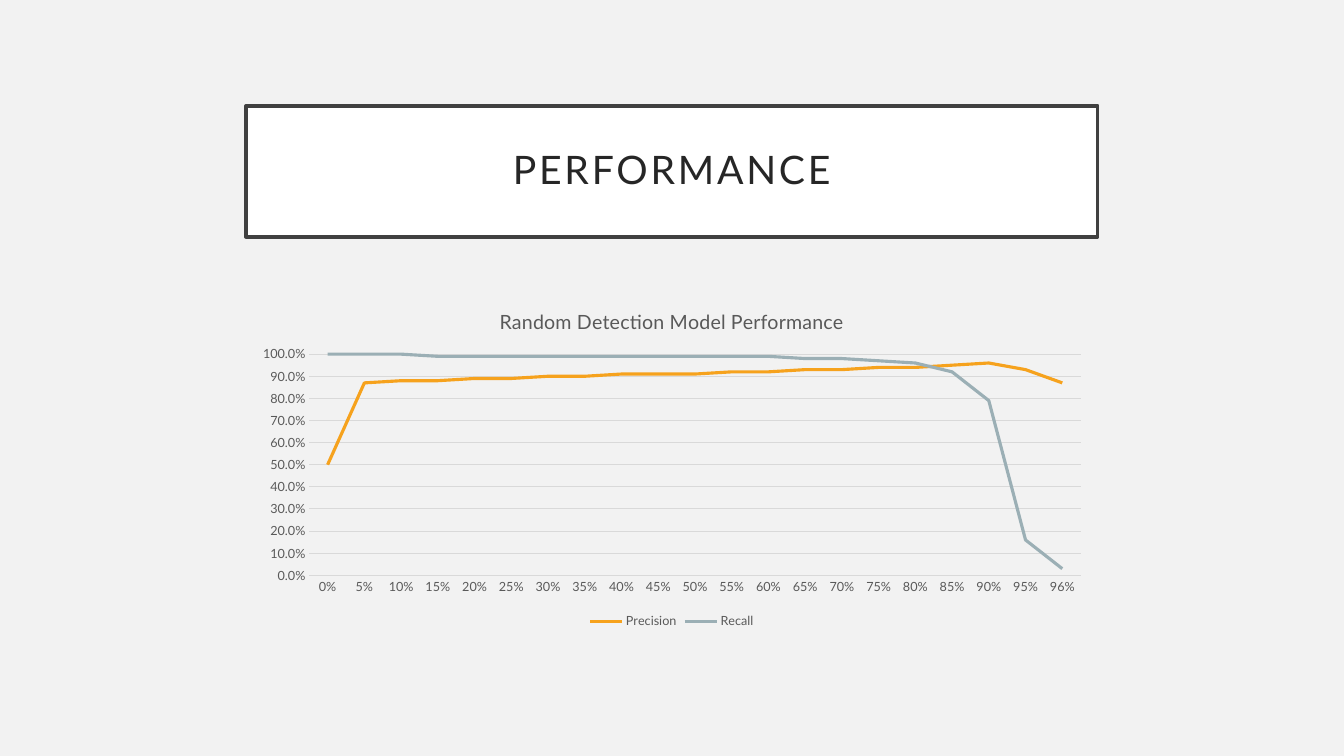
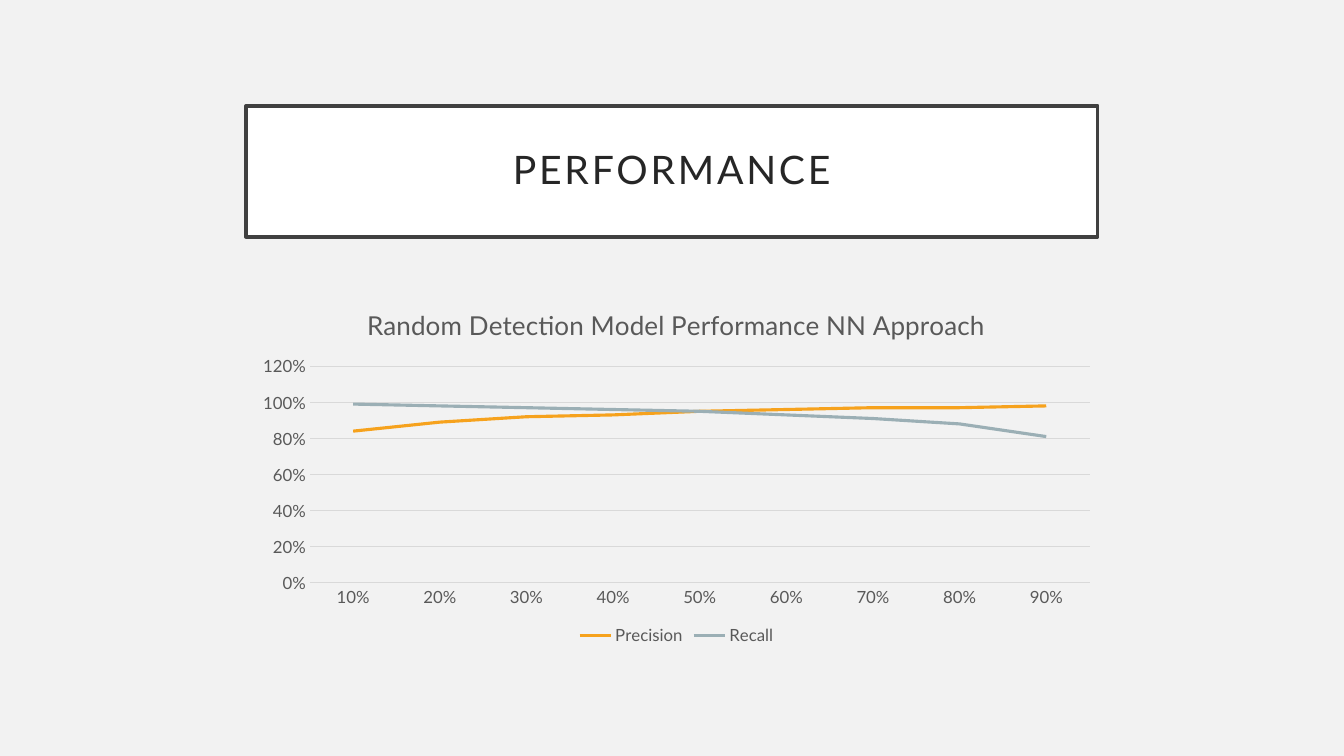
from dataclasses import dataclass
from pptx import Presentation
from pptx.chart.data import CategoryChartData
from pptx.dml.color import RGBColor
from pptx.enum.chart import XL_CHART_TYPE, XL_LEGEND_POSITION, XL_MARKER_STYLE, XL_TICK_MARK
from pptx.enum.text import MSO_ANCHOR, PP_ALIGN
from pptx.util import Pt

LINE_CHART = XL_CHART_TYPE.LINE
LEGEND_BOTTOM = XL_LEGEND_POSITION.BOTTOM
NO_MARKER = XL_MARKER_STYLE.NONE
NO_TICK = XL_TICK_MARK.NONE
MIDDLE = MSO_ANCHOR.MIDDLE
CENTER = PP_ALIGN.CENTER
TITLE_ONLY = 5


# Theme
@dataclass(frozen=True)
class Theme:
    font: str = "Lato"
    background: RGBColor = RGBColor(0xF2, 0xF2, 0xF2)
    banner: RGBColor = RGBColor(0xFF, 0xFF, 0xFF)
    frame: RGBColor = RGBColor(0x40, 0x40, 0x40)
    heading: RGBColor = RGBColor(0x26, 0x26, 0x26)
    label: RGBColor = RGBColor(0x59, 0x59, 0x59)
    grid: RGBColor = RGBColor(0xD9, 0xD9, 0xD9)
    series: tuple = (RGBColor(0xF6, 0xA2, 0x1D), RGBColor(0x9B, 0xAF, 0xB5))
    heading_size: float = 28
    frame_width: float = 2.5
    grid_width: float = 0.75
    series_width: float = 2.25


THEME = Theme()

# Content
HEADING = "PERFORMANCE"
LEFT = 175.68
BANNER_BOX = (LEFT, 75.6, 608.4, 93.6)
BANNER_INSET = 14.4

CHARTS = [
    {
        "title": "Random Detection Model Performance",
        "box": (LEFT, 208.08, 608.4, 244.08),
        "title_size": 14, "label_size": 9,
        "maximum": 1, "step": 0.1, "format": "0.0%",
        "thresholds": [n / 100 for n in range(0, 100, 5)] + [0.96],
        "series": {
            "Precision": [0.5, 0.87, 0.88, 0.88, 0.89, 0.89, 0.9, 0.9, 0.91, 0.91, 0.91,
                          0.92, 0.92, 0.93, 0.93, 0.94, 0.94, 0.95, 0.96, 0.93, 0.87],
            "Recall": [1, 1, 1, 0.99, 0.99, 0.99, 0.99, 0.99, 0.99, 0.99, 0.99,
                       0.99, 0.99, 0.98, 0.98, 0.97, 0.96, 0.92, 0.79, 0.16, 0.03],
        },
    },
    {
        "title": "Random Detection Model Performance NN Approach",
        "box": (LEFT, 206.64, 614.88, 257.04),
        "title_size": 18.6, "label_size": 12,
        "maximum": 1.2, "step": 0.2, "format": "0%",
        "thresholds": [n / 10 for n in range(1, 10)],
        "series": {
            "Precision": [0.84, 0.89, 0.92, 0.93, 0.95, 0.96, 0.97, 0.97, 0.98],
            "Recall": [0.99, 0.98, 0.97, 0.96, 0.95, 0.93, 0.91, 0.88, 0.81],
        },
    },
]


# Shared formatting
def points(box):
    return [Pt(length) for length in box]


def style_font(font, size, color):
    font.name = THEME.font
    font.size = Pt(size)
    font.bold = False
    font.color.rgb = color


def style_line(line, color, width):
    line.color.rgb = color
    line.width = Pt(width)


def add_banner(slide):
    banner = slide.shapes.title
    banner.left, banner.top, banner.width, banner.height = points(BANNER_BOX)
    banner.fill.solid()
    banner.fill.fore_color.rgb = THEME.banner
    style_line(banner.line, THEME.frame, THEME.frame_width)
    frame = banner.text_frame
    frame.text = HEADING
    frame.vertical_anchor = MIDDLE
    frame.margin_left = frame.margin_right = Pt(BANNER_INSET)
    frame.margin_top = frame.margin_bottom = Pt(BANNER_INSET)
    heading = frame.paragraphs[0]
    heading.alignment = CENTER
    heading.line_spacing = 0.9
    style_font(heading.font, THEME.heading_size, THEME.heading)
    # Letter spacing in hundredths of a point
    heading.runs[0].font._element.set("spc", "200")


def add_performance_chart(slide, content):
    chart_data = CategoryChartData(number_format=content["format"])
    chart_data.categories = content["thresholds"]
    chart_data.categories.number_format = "0%"
    for name, values in content["series"].items():
        chart_data.add_series(name, values)
    chart = slide.shapes.add_chart(LINE_CHART, *points(content["box"]), chart_data).chart
    label_size = content["label_size"]
    style_font(chart.font, label_size, THEME.label)

    # Chart title and legend
    chart.has_title = True
    title_frame = chart.chart_title.text_frame
    title_frame.text = content["title"]
    style_font(title_frame.paragraphs[0].font, content["title_size"], THEME.label)
    chart.chart_title.include_in_layout = False
    chart.has_legend = True
    chart.legend.position = LEGEND_BOTTOM
    chart.legend.include_in_layout = False
    style_font(chart.legend.font, label_size, THEME.label)

    # Axes
    thresholds, scores = chart.category_axis, chart.value_axis
    for axis, number_format in ((thresholds, "0%"), (scores, content["format"])):
        axis.major_tick_mark = axis.minor_tick_mark = NO_TICK
        axis.tick_labels.number_format = number_format
        axis.tick_labels.number_format_is_linked = False
        style_font(axis.tick_labels.font, label_size, THEME.label)
    style_line(thresholds.format.line, THEME.grid, THEME.grid_width)
    scores.format.line.fill.background()
    scores.minimum_scale = 0
    scores.maximum_scale = content["maximum"]
    scores.major_unit = content["step"]
    scores.has_major_gridlines = True
    style_line(scores.major_gridlines.format.line, THEME.grid, THEME.grid_width)

    # Series
    plot = chart.plots[0]
    plot.vary_by_categories = False
    for series, color in zip(plot.series, THEME.series):
        series.smooth = False
        series.marker.style = NO_MARKER
        style_line(series.format.line, color, THEME.series_width)


# Slides
prs = Presentation()
prs.slide_width, prs.slide_height = Pt(960), Pt(540)
master_fill = prs.slide_master.background.fill
master_fill.solid()
master_fill.fore_color.rgb = THEME.background

for content in CHARTS:
    slide = prs.slides.add_slide(prs.slide_layouts[TITLE_ONLY])
    add_banner(slide)
    add_performance_chart(slide, content)

prs.save("out.pptx")
